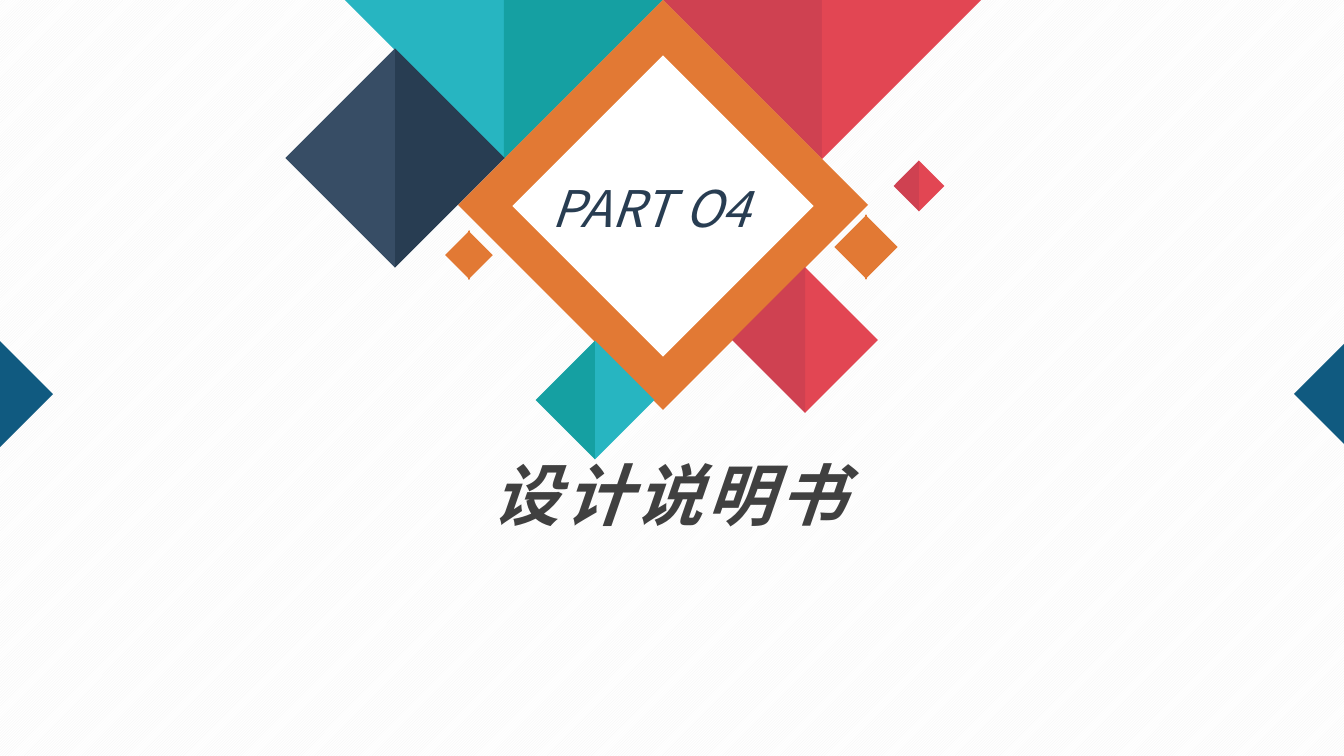
from dataclasses import dataclass

from lxml import etree
from pptx import Presentation, util as u
from pptx.dml.color import RGBColor
from pptx.enum import dml, shapes, text
from pptx.oxml.ns import qn

PX = 914400 / 100.8
FONT = "Noto Sans CJK SC"
HUES = {
    "white": "FFFFFF", "stripe": "F2F2F2", "orange": "E27934",
    "red": "E24653", "wine": "CF4151", "aqua": "27B5C1", "teal": "15A0A2",
    "navy": "283D52", "slate": "374D65", "blue": "105A80", "gray": "404040",
}
TRI = shapes.MSO_SHAPE.RIGHT_TRIANGLE
RECT = shapes.MSO_SHAPE.RECTANGLE
LEFT, RIGHT = 45, 225  # turn that points the right angle to that side
TOP = 159  # side of each triangle along the top edge


@dataclass
class Gem:
    """A diamond of two halves; lap is how far each half crosses the middle."""
    x: int
    y: int
    side: int
    left: str
    right: str
    lap: int = 0


@dataclass
class Label:
    """A line of italic text in its box."""
    words: str
    box: tuple[int, int, int, int]
    size: int
    hue: str
    bold: bool = False
    wrap: bool = True
    gap: int = 0


def emu(px: float) -> int:
    """Turn pixels into EMU."""
    return round(px * PX)


def color(hue: str) -> RGBColor:
    """Look up a named colour."""
    return RGBColor.from_string(HUES[hue])


def piece(kind, x: int, y: int, side: int, turn: int, hue: str) -> None:
    """Draw a turned shape in a square box centred on x, y."""
    shape = slide.shapes.add_shape(
        kind, emu(x - side / 2), emu(y - side / 2), emu(side), emu(side))
    shape.rotation = turn
    shape.shadow.inherit = False
    shape.fill.solid()
    shape.fill.fore_color.rgb = color(hue)
    shape.line.fill.background()


def facet(gem: Gem) -> None:
    """Draw the right and left halves of a diamond."""
    piece(TRI, gem.x - gem.lap, gem.y, gem.side, RIGHT, gem.right)
    piece(TRI, gem.x + gem.lap, gem.y, gem.side, LEFT, gem.left)


def write(label: Label) -> None:
    """Add a text box and format its run."""
    box = slide.shapes.add_textbox(*map(emu, label.box))
    frame = box.text_frame
    frame.word_wrap = label.wrap
    frame.auto_size = text.MSO_AUTO_SIZE.SHAPE_TO_FIT_TEXT
    frame.text = label.words
    font = frame.paragraphs[0].runs[0].font
    font.name, font.size = FONT, u.Pt(label.size)
    font.bold, font.italic = label.bold, True
    font.color.rgb = color(label.hue)
    props = frame.paragraphs[0].runs[0]._r.get_or_add_rPr()
    etree.SubElement(props, qn("a:ea")).set("typeface", FONT)
    if label.gap:
        props.set("spc", str(label.gap * 100))


GEMS = [
    Gem(395, 158, 155, "slate", "navy"),
    Gem(866, 247, 46, "orange", "orange", 1),
    Gem(805, 340, 103, "wine", "red"),
    Gem(595, 400, 84, "teal", "aqua"),
    Gem(469, 255, 35, "orange", "orange", 1),
]
LABELS = [
    Label("设计说明书", (483, 448, 379, 92), 48, "gray", True, False, 3),
    Label("PART O4", (542, 172, 240, 72), 36, "navy"),
]

deck = Presentation()
deck.slide_width, deck.slide_height = emu(1344), emu(756)
slide = deck.slides.add_slide(deck.slide_layouts[6])
back = slide.background.fill
back.patterned()
back.pattern = dml.MSO_PATTERN.LIGHT_UPWARD_DIAGONAL
back.fore_color.rgb, back.back_color.rgb = color("stripe"), color("white")

facet(Gem(919, 186, 36, "wine", "red"))
for i, hue in enumerate(["aqua", "teal", "wine", "red"]):
    piece(TRI, 345 + TOP * (i + 0.5), TOP / 2, TOP, 90 if i % 2 else 180, hue)
piece(RECT, 663, 205, 290, 45, "orange")
piece(RECT, 663, 206, 213, 45, "white")
for gem in GEMS:
    facet(gem)
piece(TRI, 0, 394, 75, RIGHT, "blue")
piece(TRI, 1347, 394, 75, LEFT, "blue")
for label in LABELS:
    write(label)

deck.save("out.pptx")
